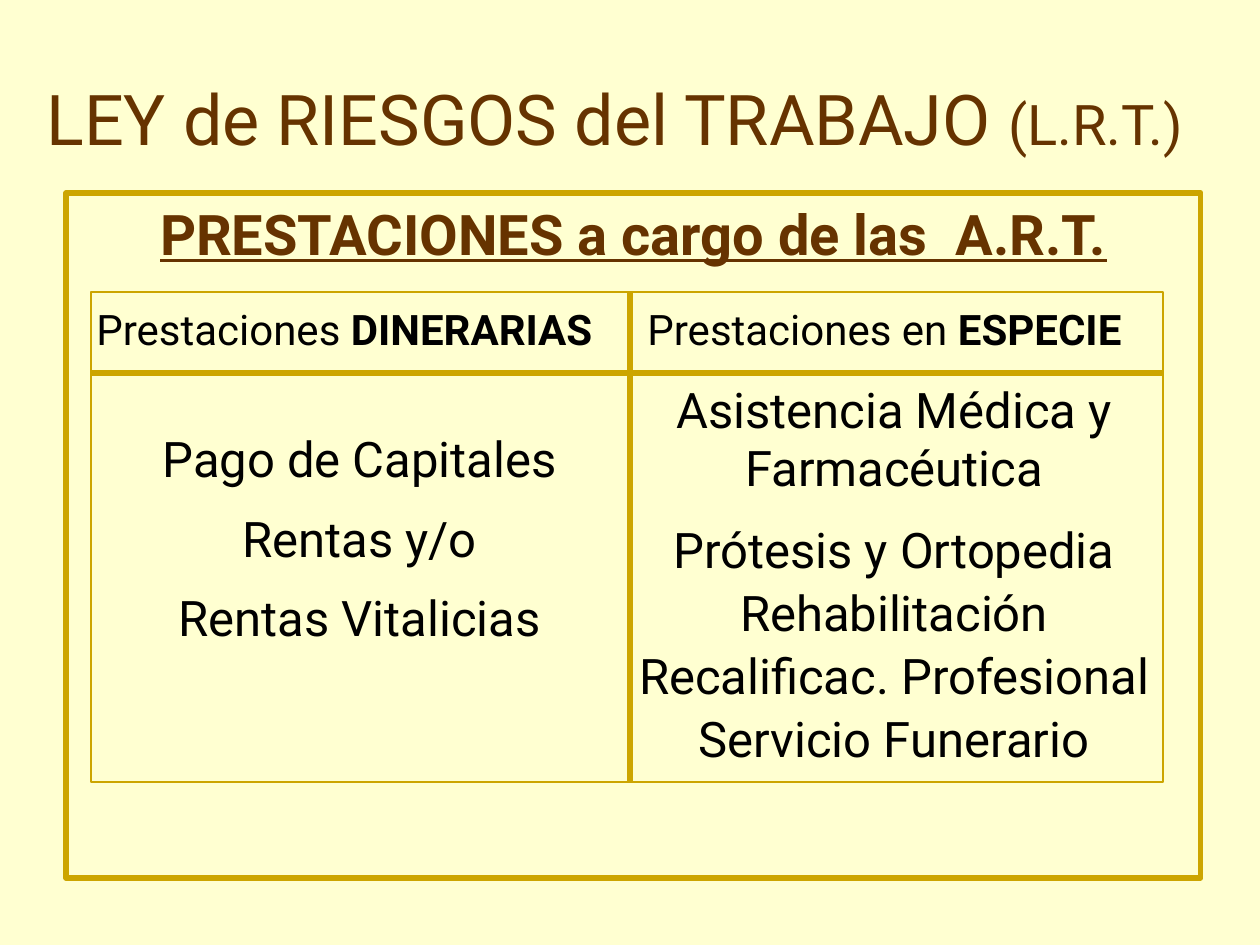
from lxml.etree import SubElement
from pptx import Presentation
from pptx.dml.color import RGBColor
from pptx.enum.shapes import MSO_CONNECTOR, MSO_SHAPE
from pptx.enum.text import MSO_ANCHOR, PP_ALIGN
from pptx.oxml.ns import qn
from pptx.util import Emu, Pt

SCALE = 914400 // 126
COLORS = {"background": "FFFFD1", "title": "663300", "line": "CCA500", "text": "000000"}
FONT = "Roboto"


def px(value):
    return Emu(value * SCALE)


def color(name):
    return RGBColor.from_string(COLORS[name])


def write_text(shape, paragraphs, size, ink="text", align=PP_ALIGN.CENTER, wrap=True, gaps=()):
    frame = shape.text_frame
    frame.word_wrap = wrap
    frame.vertical_anchor = MSO_ANCHOR.TOP
    for index, runs in enumerate(paragraphs):
        paragraph = frame.paragraphs[0] if index == 0 else frame.add_paragraph()
        paragraph.alignment = align
        if index and gaps:
            paragraph.space_before = Pt(gaps[index - 1])
        for text, style in runs:
            run = paragraph.add_run()
            run.text = text
            font = run.font
            font.name = FONT
            font.size = Pt(style.get("size", size))
            font.bold = style.get("bold", False)
            font.underline = style.get("underline", False)
            font.color.rgb = color(ink)


def add_text(slide, box, paragraphs, **style):
    shape = slide.shapes.add_textbox(*map(px, box))
    write_text(shape, paragraphs, **style)


def add_outline(slide, box, width):
    shape = slide.shapes.add_shape(MSO_SHAPE.RECTANGLE, *map(px, box))
    shape.shadow.inherit = False
    shape.fill.background()
    shape.line.color.rgb = color("line")
    shape.line.width = Pt(width)
    return shape


def add_rule(slide, *ends):
    connector = slide.shapes.add_connector(MSO_CONNECTOR.STRAIGHT, *map(px, ends))
    connector.line.color.rgb = color("line")
    connector.line.width = Pt(3)
    SubElement(connector._element.spPr, qn("a:effectLst"))


def add_title(slide, box):
    runs = [("LEY de RIESGOS del TRABAJO ", {}), ("(L.R.T.)", {"size": 32})]
    add_text(slide, box, [runs], size=40, ink="title", align=PP_ALIGN.LEFT)


def add_frame(slide, box):
    heading = ("PRESTACIONES a cargo de las  A.R.T.", {"bold": True, "underline": True})
    write_text(add_outline(slide, box, 3), [[heading]], size=32, ink="title")


def add_column(slide, box, heading, heading_width, items, items_box, gaps):
    left, top = box
    item_left, item_top, item_width, item_height = items_box
    plain, strong = heading
    add_text(slide, (left, top + 5, heading_width, 63), [[(plain, {}), (strong, {"bold": True})]],
             size=24, align=PP_ALIGN.LEFT, wrap=False)
    add_text(slide, (left + item_left, top + item_top, item_width, item_height),
             [[(item, {})] for item in items], size=28, wrap=False, gaps=gaps)


def add_benefits(slide, box):
    left, top, width, height = box
    header_bottom = top + 81
    divider = left + 539
    add_outline(slide, box, 1.5)
    add_rule(slide, left, header_bottom, left + width, header_bottom)
    add_rule(slide, divider, top, divider, top + height)
    add_column(slide, (left - 7, top), ("Prestaciones ", "DINERARIAS"), 546,
               ["Pago de Capitales", "Rentas y/o", "Rentas Vitalicias"],
               (58, 130, 435, 232), (12, 12))
    add_column(slide, (divider + 5, top), ("Prestaciones en ", "ESPECIE"), 512,
               ["Asistencia Médica y", "Farmacéutica", "Prótesis y Ortopedia",
                "Rehabilitación", "Recalificac. Profesional", "Servicio Funerario"],
               (-15, 81, 548, 402), (0, 13, 2.4, 2.4, 2.4))


def main():
    presentation = Presentation()
    presentation.slide_width = px(1260)
    presentation.slide_height = px(945)
    slide = presentation.slides.add_slide(presentation.slide_layouts[6])
    slide.background.fill.solid()
    slide.background.fill.fore_color.rgb = color("background")
    add_title(slide, (34, 69, 1184, 97))
    add_frame(slide, (66, 193, 1135, 685))
    add_benefits(slide, (91, 292, 1072, 490))
    presentation.save("out.pptx")


if __name__ == "__main__":
    main()
